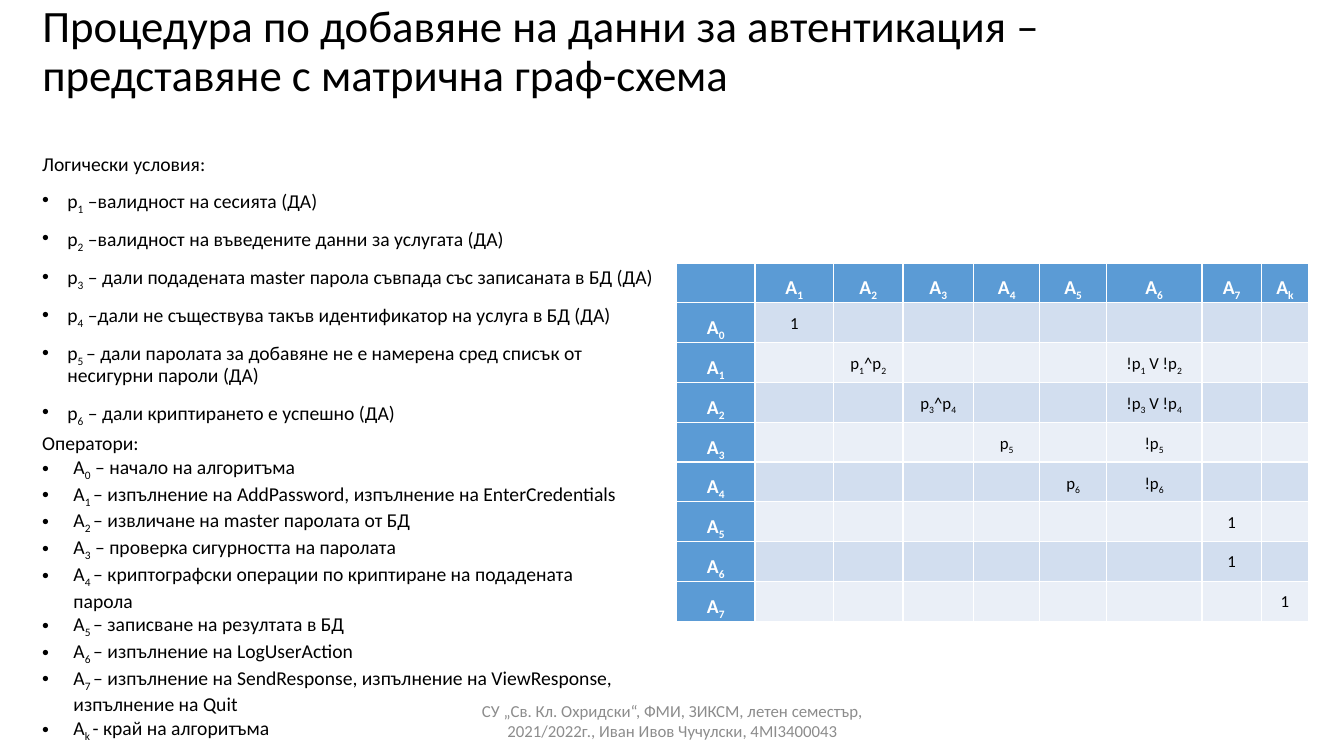
import lxml.etree
import pptx
import pptx.dml.color
import pptx.enum.text
import pptx.oxml.ns
import pptx.util

BLACK = pptx.dml.color.RGBColor(0x00, 0x00, 0x00)
WHITE = pptx.dml.color.RGBColor(0xFF, 0xFF, 0xFF)
GRAY = pptx.dml.color.RGBColor(0x8C, 0x8C, 0x8C)
BLUE = pptx.dml.color.RGBColor(0x5B, 0x9B, 0xD5)
BAND_DARK = pptx.dml.color.RGBColor(0xD2, 0xDE, 0xEF)
BAND_LIGHT = pptx.dml.color.RGBColor(0xEA, 0xEF, 0xF7)

LEFT = pptx.enum.text.PP_ALIGN.LEFT
CENTER = pptx.enum.text.PP_ALIGN.CENTER
MIDDLE = pptx.enum.text.MSO_ANCHOR.MIDDLE
TOP = pptx.enum.text.MSO_ANCHOR.TOP

TITLE = "Процедура по добавяне на данни за автентикация – представяне с матрична граф-схема"
CONDITIONS = [
    "p|1| –валидност на сесията (ДА)",
    "p|2| –валидност на въведените данни за услугата (ДА)",
    "p|3| – дали подадената master парола съвпада със записаната в БД (ДА)",
    "p|4| –дали не съществува такъв идентификатор на услуга в БД (ДА)",
    "p|5 |– дали паролата за добавяне не е намерена сред списък от несигурни пароли (ДА)",
    "p|6| – дали криптирането е успешно (ДА)",
]
OPERATORS = [
    "A|0| – начало на алгоритъма",
    "A|1 |– изпълнение на AddPassword, изпълнение на EnterCredentials",
    "A|2 |– извличане на master паролата от БД",
    "A|3| – проверка сигурността на паролата",
    "A|4 |– криптографски операции по криптиране на подадената парола",
    "A|5 |– записване на резултата в БД",
    "A|6 |– изпълнение на LogUserAction",
    "A|7 |– изпълнение на SendResponse, изпълнение на ViewResponse, изпълнение на Quit",
    "A|k |- край на алгоритъма",
]
FOOTER = ("СУ „Св. Кл. Охридски“, ФМИ, ЗИКСМ, летен семестър, "
          "2021/2022г., Иван Ивов Чучулски, 4MI3400043")

COLUMN_LABELS = "1234567k"
ROW_LABELS = "01234567"
COLUMN_WEIGHTS = [78, 78, 69, 70, 66, 66, 95, 59, 47]
# (row label, column label) -> transition condition
TRANSITIONS = {
    ("0", "1"): "1",
    ("1", "2"): "p|1|^p|2|", ("1", "6"): "!p|1| V !p|2|",
    ("2", "3"): "p|3|^p|4|", ("2", "6"): "!p|3| V !p|4|",
    ("3", "4"): "p|5|", ("3", "6"): "!p|5|",
    ("4", "5"): "p|6|", ("4", "6"): "!p|6|",
    ("5", "7"): "1", ("6", "7"): "1", ("7", "k"): "1",
}


def write(para, text, size=14, color=BLACK, bold=False, align=LEFT,
          line=None, before=None, bullet_indent=None):
    """Fill a paragraph; text between a pair of | marks is set as subscript."""
    para.alignment = align
    if line:
        para.line_spacing = line
    if before:
        para.space_before = pptx.util.Pt(before)
    if bullet_indent:
        indent = pptx.util.Inches(bullet_indent)
        properties = para._p.get_or_add_pPr()
        properties.set("marL", str(indent))
        properties.set("indent", str(-indent))
        font = lxml.etree.SubElement(properties, pptx.oxml.ns.qn("a:buFont"))
        font.set("typeface", "Arial")
        bullet = lxml.etree.SubElement(properties, pptx.oxml.ns.qn("a:buChar"))
        bullet.set("char", "•")
    for index, part in enumerate(text.split("|")):
        if not part:
            continue
        span = para.add_run()
        span.text = part
        span.font.name = "Calibri"
        span.font.size = pptx.util.Pt(size)
        span.font.bold = bold
        span.font.color.rgb = color
        if index % 2:
            span._r.get_or_add_rPr().set("baseline", "-25000")


class Page:
    """One slide; every place is (left, top, width, height) in percent of it."""

    def __init__(self, deck):
        self.width, self.height = deck.slide_width, deck.slide_height
        self.slide = deck.slides.add_slide(deck.slide_layouts[5])

    def scale(self, place):
        sides = (self.width, self.height) * 2
        return [round(side * share / 100) for side, share in zip(sides, place)]

    def title(self, text, place, bottom_inset):
        box = self.slide.shapes.title
        box.left, box.top, box.width, box.height = self.scale(place)
        frame = box.text_frame
        frame.auto_size = pptx.enum.text.MSO_AUTO_SIZE.NONE
        frame.vertical_anchor = MIDDLE
        frame.margin_bottom = pptx.util.Inches(bottom_inset)
        write(frame.paragraphs[0], text, size=32, line=0.9)

    def text(self, place, lead, items=(), bullet_indent=None, anchor=TOP, **style):
        """Add a text box with a lead paragraph and bulleted items under it."""
        frame = self.slide.shapes.add_textbox(*self.scale(place)).text_frame
        frame.word_wrap = True
        frame.vertical_anchor = anchor
        write(frame.paragraphs[0], lead, **style)
        for item in items:
            write(frame.add_paragraph(), item, bullet_indent=bullet_indent, **style)

    def matrix(self, place):
        rows, columns = len(ROW_LABELS) + 1, len(COLUMN_LABELS) + 1
        left, top, width, height = self.scale(place)
        table = self.slide.shapes.add_table(rows, columns, left, top, width, height).table
        for column, weight in zip(table.columns, COLUMN_WEIGHTS):
            column.width = round(width * weight / sum(COLUMN_WEIGHTS))
        for row in range(rows):
            for column in range(columns):
                self.matrix_cell(table.cell(row, column), row, column)

    def matrix_cell(self, cell, row, column):
        cell.margin_left = cell.margin_right = pptx.util.Inches(0.07)
        cell.margin_top = cell.margin_bottom = 0
        heading = row == 0 or column == 0
        if row and column:
            text = TRANSITIONS.get((ROW_LABELS[row - 1], COLUMN_LABELS[column - 1]), "")
        elif row or column:
            text = f"A|{ROW_LABELS[row - 1] if row else COLUMN_LABELS[column - 1]}|"
        else:
            text = ""
        cell.fill.solid()
        cell.fill.fore_color.rgb = BLUE if heading else BAND_DARK if row % 2 else BAND_LIGHT
        if text:
            write(cell.text_frame.paragraphs[0], text, size=14 if heading else 12,
                  color=WHITE if heading else BLACK, bold=heading, align=CENTER, line=1.5)


def main():
    deck = pptx.Presentation()
    deck.slide_width = pptx.util.Inches(13.33)
    deck.slide_height = pptx.util.Inches(7.5)
    page = Page(deck)
    page.title(TITLE, (2.4, 2, 93.17, 16.4), bottom_inset=0.54)
    page.matrix((50.34, 34.8, 47.04, 42))
    page.text((2.4, 19.73, 48, 36.67), "Логически условия:", CONDITIONS,
              bullet_indent=0.25, line=0.9, before=10)
    page.text((2.4, 56.4, 45.09, 42.13), "Оператори:", OPERATORS, bullet_indent=0.31)
    page.text((33.16, 92.67, 33.76, 5.33), FOOTER, anchor=MIDDLE,
              size=12, color=GRAY, align=CENTER)
    deck.save("out.pptx")


if __name__ == "__main__":
    main()
